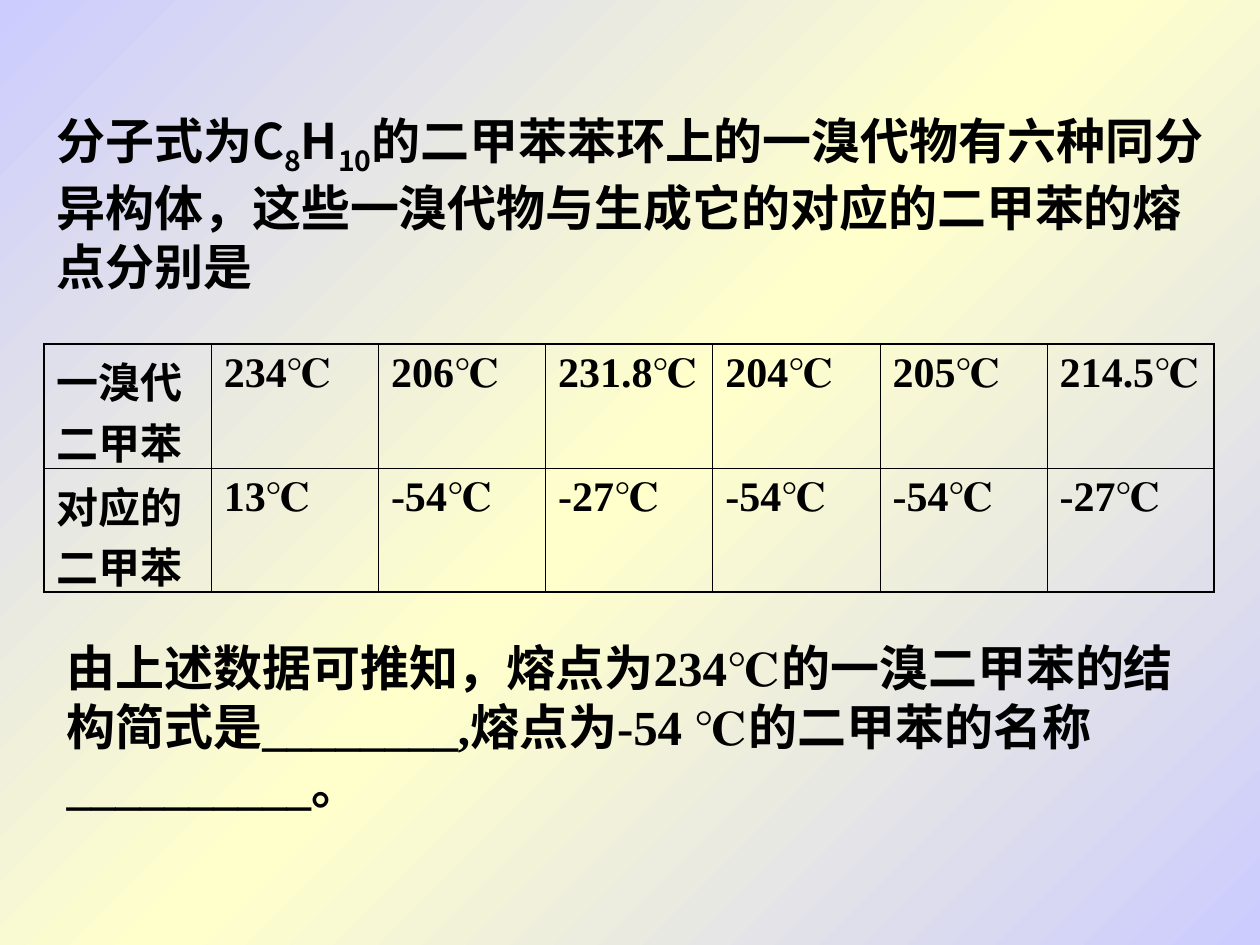
from copy import deepcopy

from lxml import etree
from pptx import Presentation
from pptx.dml.color import RGBColor
from pptx.oxml.ns import qn
from pptx.util import Inches, Pt

SANS, SERIF = "Noto Sans CJK SC", "Times New Roman"
BLACK, BLUE, CREAM = "000000", "CCCCFF", "FFFFCC"
THIN, THICK = 0.45, 1.08
ROWS = [
    ["一溴代二甲苯", "234℃", "206℃", "231.8℃", "204℃", "205℃", "214.5℃"],
    ["对应的二甲苯", "13℃", "-54℃", "-27℃", "-54℃", "-54℃", "-27℃"],
]
INTRO = [
    ("分子式为C", 0), ("8", -25), ("H", 0), ("10", -25),
    ("的二甲苯苯环上的一溴代物有六种同分异构体，"
     "这些一溴代物与生成它的对应的二甲苯的熔点分别是", 0),
]
TASK = [("由上述数据可推知，熔点为234℃的一溴二甲苯的结构简式是________,"
         "熔点为-54 ℃的二甲苯的名称__________。", 0)]


def color(code):
    """Turn a hex string into a colour."""
    return RGBColor.from_string(code)


def write(frame, parts, size, font):
    """Write (text, baseline) parts as one bold paragraph."""
    frame.word_wrap = True
    para = frame.paragraphs[0]
    for text, base in parts:
        run = para.add_run()
        run.text = text
        run.font.size, run.font.bold, run.font.name = Pt(size), True, font
        run.font.color.rgb = color(BLACK)
        etree.SubElement(run.font._element, qn("a:ea")).set("typeface", SANS)
        if base:
            run.font._element.set("baseline", str(base * 1000))


def paint(slide):
    """Fill the background with a diagonal three-stop gradient."""
    fill = slide.background.fill
    fill.gradient()
    fill.gradient_angle = 315
    stops = fill._fill._gradFill.find(qn("a:gsLst"))
    stops.append(deepcopy(stops[-1]))
    for stop, place, code in zip(fill.gradient_stops, (0, 0.5, 1), (BLUE, CREAM, BLUE)):
        stop.position, stop.color.rgb = place, color(code)


def passage(slide, parts, font, left, top, width, height):
    """Place a paragraph of the question in the given box."""
    box = slide.shapes.add_textbox(Inches(left), Inches(top), Inches(width), Inches(height))
    write(box.text_frame, parts, size=28, font=font)


def edge(cell, sides):
    """Draw cell borders from a dict of side to width."""
    props = cell._tc.get_or_add_tcPr()
    for place, (side, width) in enumerate(sides.items()):
        line = etree.Element(qn("a:ln" + side), w=str(int(Pt(width))))
        fill = etree.SubElement(line, qn("a:solidFill"))
        etree.SubElement(fill, qn("a:srgbClr"), val=BLACK)
        props.insert(place, line)


def grid(slide, left, top, width, height):
    """Place the melting point table in the given box."""
    rows, cols = len(ROWS), len(ROWS[0])
    table = slide.shapes.add_table(
        rows, cols, Inches(left), Inches(top), Inches(width), Inches(height)).table
    table.first_row = table.horz_banding = False
    for i, row in enumerate(ROWS):
        for j, text in enumerate(row):
            cell = table.cell(i, j)
            cell.fill.background()
            write(cell.text_frame, [(text, 0)], size=24, font=SERIF)
            outer = {"L": j == 0, "R": j == cols - 1, "T": i == 0, "B": i == rows - 1}
            edge(cell, {side: THICK if out else THIN for side, out in outer.items()})


def main():
    """Build and save the slide."""
    deck = Presentation()
    deck.slide_width, deck.slide_height = Inches(10), Inches(7.5)
    slide = deck.slides.add_slide(deck.slide_layouts[6])
    paint(slide)
    passage(slide, INTRO, SANS, 0.35, 0.83, 9.37, 1.57)
    grid(slide, 0.35, 2.73, 9.29, 1.97)
    passage(slide, TASK, SERIF, 0.43, 5.01, 9.21, 1.5)
    deck.save("out.pptx")


if __name__ == "__main__":
    main()
